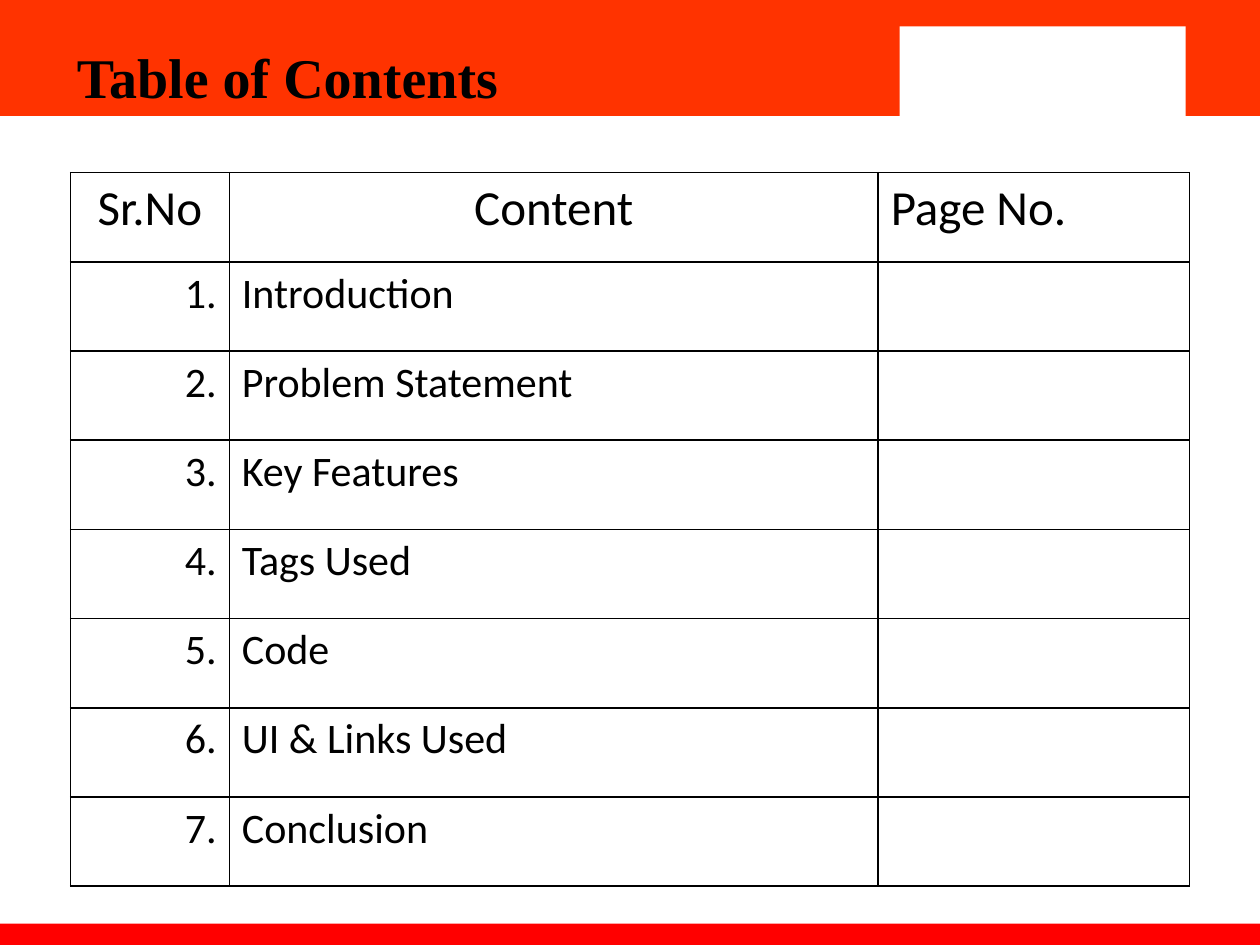
from lxml import etree
from pptx import Presentation
from pptx import util as u
from pptx.dml.color import RGBColor
from pptx.enum import shapes, text
from pptx.oxml.ns import qn

COLORS = {"header": "FF3300", "footer": "FF0000", "paper": "FFFFFF", "ink": "000000"}
TOPICS = ["Introduction", "Problem Statement", "Key Features", "Tags Used",
          "Code", "UI & Links Used", "Conclusion"]
COLUMN_WIDTHS = [1.26, 5.15, 2.47]
ROW_HEIGHT = 0.708
ALIGN = text.PP_ALIGN


def style_text(paragraph, size, font_name, bold=False):
    paragraph.font.size = u.Pt(size)
    paragraph.font.name = font_name
    paragraph.font.bold = bold
    paragraph.font.color.rgb = RGBColor.from_string(COLORS["ink"])


def outline_cell(cell):
    """Draw a thin line on all four sides, ahead of the fill as the schema asks."""
    properties = cell._tc.get_or_add_tcPr()
    for index, side in enumerate(("lnL", "lnR", "lnT", "lnB")):
        line = etree.Element(qn(f"a:{side}"), w=str(u.Pt(1)))
        fill = etree.SubElement(line, qn("a:solidFill"))
        etree.SubElement(fill, qn("a:srgbClr"), val=COLORS["ink"])
        properties.insert(index, line)


presentation = Presentation()
presentation.slide_width = u.Inches(10)
presentation.slide_height = u.Inches(7.5)
slide = presentation.slides.add_slide(presentation.slide_layouts[5])

# Header band with its white logo panel, and the footer band
for left, top, width, height, color in (
    (0, 0, 10, 0.92, "header"),
    (0, 7.33, 10, 0.17, "footer"),
    (7.14, 0.21, 2.27, 0.75, "paper"),
):
    band = slide.shapes.add_shape(shapes.MSO_SHAPE.RECTANGLE, u.Inches(left),
                                  u.Inches(top), u.Inches(width), u.Inches(height))
    band.shadow.inherit = False
    band.fill.solid()
    band.fill.fore_color.rgb = RGBColor.from_string(COLORS[color])
    band.line.fill.background()

# Title, brought in front of the header band
title = slide.shapes.title
slide.shapes._spTree.append(title._element)
title.left, title.top = u.Inches(0.51), u.Inches(0.29)
title.width, title.height = u.Inches(5.91), u.Inches(0.64)
title.text_frame.text = "Table of Contents"
title.text_frame.vertical_anchor = text.MSO_ANCHOR.TOP
title.text_frame.paragraphs[0].alignment = ALIGN.LEFT
style_text(title.text_frame.paragraphs[0], 32, "Times New Roman", bold=True)

# Contents table
rows = [("Sr.No", "Content", "Page No.")]
rows += [(f"{number}.", topic, "") for number, topic in enumerate(TOPICS, 1)]
table = slide.shapes.add_table(
    len(rows), len(COLUMN_WIDTHS), u.Inches(0.56), u.Inches(1.37),
    u.Inches(sum(COLUMN_WIDTHS)), u.Inches(ROW_HEIGHT * len(rows))).table
table.first_row = False
table.horz_banding = False
for column, width in zip(table.columns, COLUMN_WIDTHS):
    column.width = u.Inches(width)

for row_index, row in enumerate(rows):
    is_header = row_index == 0
    alignments = ((ALIGN.CENTER, ALIGN.CENTER, ALIGN.LEFT) if is_header
                  else (ALIGN.RIGHT, ALIGN.LEFT, ALIGN.LEFT))
    for column_index, (words, alignment) in enumerate(zip(row, alignments)):
        cell = table.cell(row_index, column_index)
        cell.fill.background()
        outline_cell(cell)
        cell.text = words
        paragraph = cell.text_frame.paragraphs[0]
        paragraph.alignment = alignment
        style_text(paragraph, 28 if is_header else 24, "Calibri")

presentation.save("out.pptx")
